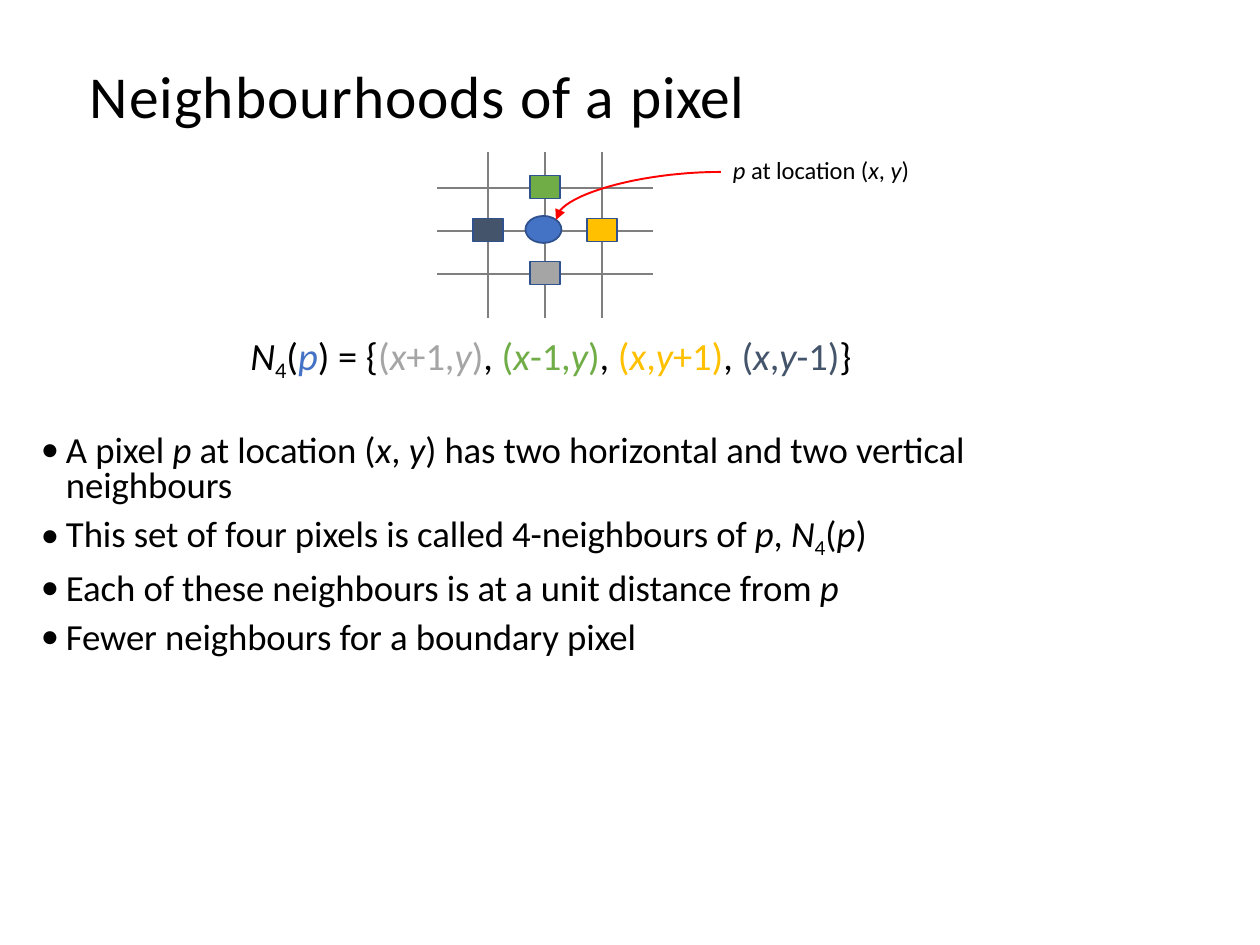
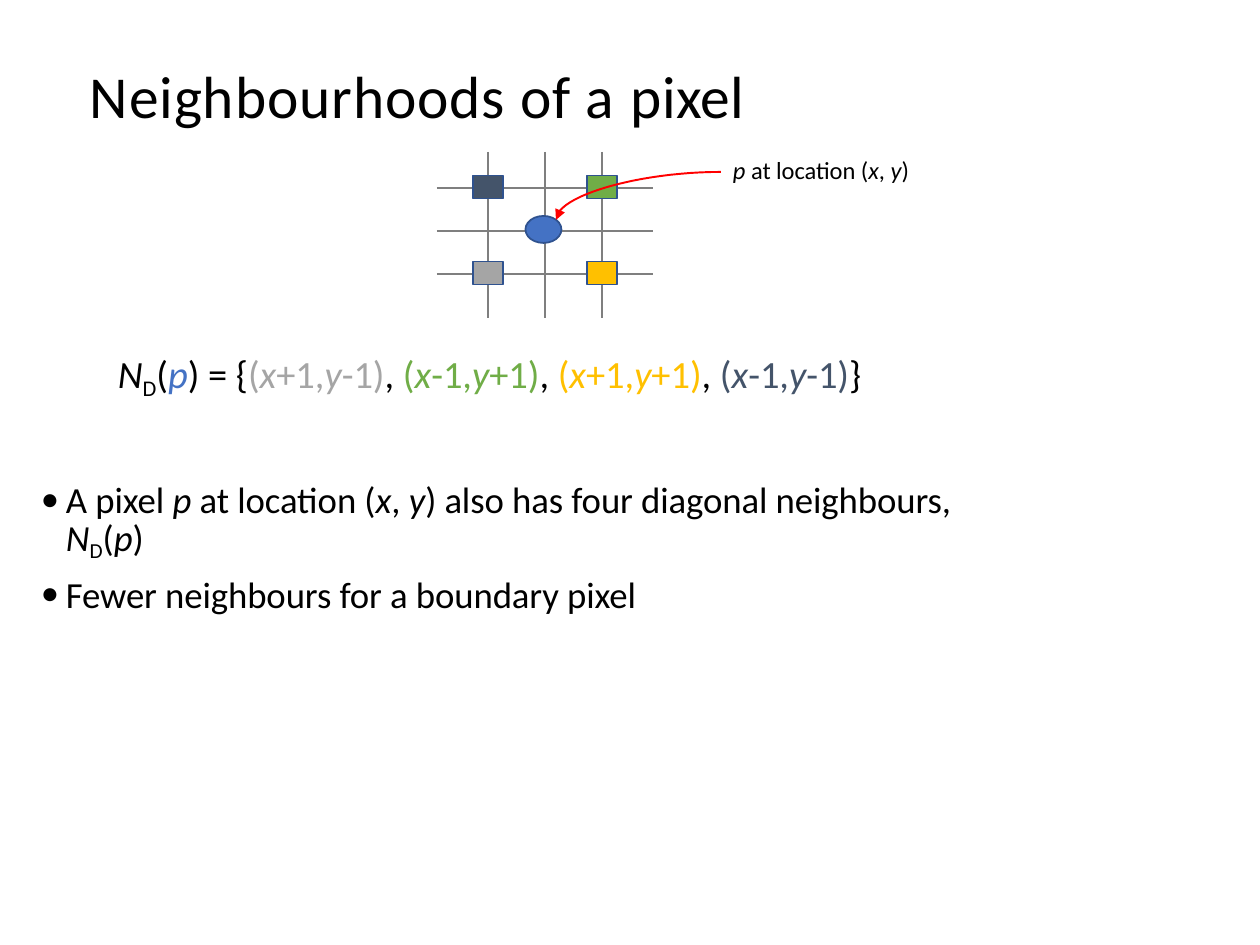
from dataclasses import dataclass

from lxml.etree import SubElement
from pptx import Presentation
from pptx.dml.color import RGBColor
from pptx.enum.shapes import MSO_CONNECTOR as Connector, MSO_SHAPE as Preset
from pptx.enum.text import PP_ALIGN as Align
from pptx.oxml.ns import qn
from pptx.util import Emu, Pt


@dataclass(frozen=True)
class Theme:
    font: str = "Calibri"
    title_size: int = 34
    formula_size: int = 22
    body_size: int = 21
    label_size: int = 14
    ink: str = "000000"
    grid: str = "7F7F7F"
    outline: str = "2F528F"
    blue: str = "4472C4"
    grey: str = "A5A5A5"
    green: str = "70AD47"
    yellow: str = "FFC000"
    slate: str = "44546A"
    red: str = "FF0000"


THEME = Theme()
EMU_PER_PX = 914400 / 126
PAGE_SIZE = (1260, 945)
TITLE_BOX = (90, 58, 739, 74)
GRID_BOX = (437, 152, 216, 166)
LABEL_BOX = (733, 154, 208, 31)
COLUMNS = [51 + 57 * i for i in range(3)]
ROWS = [36 + 43 * i for i in range(3)]
SQUARE = (30, 23)
DISC = (36, 27)


def px(length):
    return Emu(round(length * EMU_PER_PX))


def rgb(colour):
    return RGBColor.from_string(colour)


def add_text_box(page, box):
    frame = page.shapes.add_textbox(*map(px, box)).text_frame
    frame.word_wrap = True
    frame.margin_left = frame.margin_right = frame.margin_bottom = 0
    frame.margin_top = px(1)
    return frame


def add_span(para, text, size, colour=THEME.ink, italic=False, sub=False, spacing=0):
    """Add one run; spacing is in hundredths of a point."""
    span = para.add_run()
    span.text = text
    font = span.font
    font.name, font.size, font.italic = THEME.font, Pt(size), italic
    font.color.rgb = rgb(colour)
    properties = span._r.get_or_add_rPr()
    if spacing:
        properties.set("spc", str(spacing))
    if sub:
        properties.set("baseline", "-20000")


def add_marked_text(para, text, size, colour=THEME.ink, spacing=0):
    """Add text in which *stars* mark italics and _bars_ mark subscripts."""
    for i, part in enumerate(text.split("*")):
        for j, piece in enumerate(part.split("_")):
            if piece:
                add_span(para, piece, size, colour, i % 2 == 1, j % 2 == 1, spacing)


def set_indent(para, left=0, first=0, right=0):
    properties = para._p.get_or_add_pPr()
    for name, length in (("marL", left), ("indent", first), ("marR", right)):
        properties.set(name, str(px(length)))
    return properties


def add_title(page, box):
    para = add_text_box(page, box).paragraphs[0]
    add_span(para, "Neighbourhoods of a ", THEME.title_size, spacing=55)
    add_span(para, "pixel", THEME.title_size, spacing=20)


def add_grid_line(page, x1, y1, x2, y2):
    line = page.shapes.add_connector(Connector.STRAIGHT, *map(px, (x1, y1, x2, y2)))
    line.line.color.rgb = rgb(THEME.grid)
    line.line.width = Pt(1.5)
    SubElement(line._element.spPr, qn("a:effectLst"))


def visible_parts(length, centres, gap):
    """Yield the stretches of a line left free by squares at the given centres."""
    start = 0
    for centre in sorted(centres):
        yield start, centre - gap / 2
        start = centre + gap / 2
    yield start, length


def add_marker(page, preset, centre, size, colour):
    (x, y), (width, height) = centre, size
    marker = page.shapes.add_shape(
        preset, px(x - width / 2), px(y - height / 2), px(width), px(height))
    marker.shadow.inherit = False
    marker.fill.solid()
    marker.fill.fore_color.rgb = rgb(colour)
    marker.line.color.rgb = rgb(THEME.outline)
    marker.line.width = Pt(1)


def add_pixel_grid(page, box, neighbours):
    left, top, width, height = box
    cells = [cell for _, _, cell in neighbours]
    for i, x in enumerate(COLUMNS):
        taken = [ROWS[row] - 1 for column, row in cells if column == i]
        for start, end in visible_parts(height, taken, SQUARE[1]):
            add_grid_line(page, left + x, top + start, left + x, top + end)
    for i, y in enumerate(ROWS):
        taken = [COLUMNS[column] for column, row in cells if row == i]
        for start, end in visible_parts(width, taken, SQUARE[0]):
            add_grid_line(page, left + start, top + y, left + end, top + y)
    for _, colour, (column, row) in neighbours:
        centre = (left + COLUMNS[column], top + ROWS[row] - 1)
        add_marker(page, Preset.RECTANGLE, centre, SQUARE, colour)
    centre = (left + COLUMNS[1] - 1.5, top + ROWS[1] - 1.5)
    add_marker(page, Preset.OVAL, centre, DISC, THEME.blue)


def add_curved_arrow(page, start, end, steps=24):
    """Draw a cubic curve that leaves sideways and arrives downwards."""
    (x1, y1), (x2, y2) = start, end
    points = []
    for step in range(1, steps + 1):
        t = step / steps
        across = 1.5 * t * (1 - t) ** 2 + 3 * t ** 2 * (1 - t) + t ** 3
        down = 1.5 * t ** 2 * (1 - t) + t ** 3
        points.append((px(x1 + (x2 - x1) * across), px(y1 + (y2 - y1) * down)))
    builder = page.shapes.build_freeform(px(x1), px(y1))
    builder.add_line_segments(points, close=False)
    arrow = builder.convert_to_shape()
    arrow.shadow.inherit = False
    arrow.fill.background()
    arrow.line.color.rgb = rgb(THEME.red)
    arrow.line.width = Pt(1.1)
    SubElement(arrow.line._get_or_add_ln(), qn("a:tailEnd"), type="triangle")


def add_label(page, box):
    left, top = box[:2]
    para = add_text_box(page, box).paragraphs[0]
    add_marked_text(para, "*p* at location (*x*, *y*)", THEME.label_size, spacing=-5)
    add_curved_arrow(page, (left - 12, top + 18), (left - 177, top + 66))


def add_formula(para, name, neighbours):
    size = THEME.formula_size
    add_marked_text(para, f"*N*_{name}_(", size)
    add_marked_text(para, "*p*", size, THEME.blue)
    add_marked_text(para, ") = {", size)
    for i, (offset, colour, _) in enumerate(neighbours):
        if i:
            add_marked_text(para, ", ", size)
        add_marked_text(para, offset, size, colour)
    add_marked_text(para, "}", size)


def add_point(frame, text, before, exact=None, bullet=True):
    para = frame.add_paragraph()
    properties = set_indent(para, 30, -25 if bullet else 0)
    para.space_before = Pt(before)
    if exact:
        para.line_spacing = Pt(exact)
    if bullet:
        SubElement(properties, qn("a:buFont"), typeface=THEME.font)
        SubElement(properties, qn("a:buChar"), char="•")
    add_marked_text(para, text, THEME.body_size, spacing=-7)


def add_neighbour_page(deck, neighbours):
    page = deck.slides.add_slide(deck.slide_layouts[6])
    add_title(page, TITLE_BOX)
    add_pixel_grid(page, GRID_BOX, neighbours)
    add_label(page, LABEL_BOX)
    return page


def add_four_neighbours(deck):
    neighbours = [
        ("(*x*+1,*y*)", THEME.grey, (1, 2)),
        ("(*x*-1,*y*)", THEME.green, (1, 0)),
        ("(*x*,*y*+1)", THEME.yellow, (2, 1)),
        ("(*x*,*y*-1)", THEME.slate, (0, 1)),
    ]
    page = add_neighbour_page(deck, neighbours)
    frame = add_text_box(page, (36, 331, 1057, 321))
    para = frame.paragraphs[0]
    para.alignment = Align.CENTER
    set_indent(para, right=27)
    add_formula(para, "4", neighbours)
    add_point(frame, "A pixel *p* at location (*x*, *y*) has two horizontal "
              "and two vertical neighbours", 30.6, 19.9)
    add_point(frame, "This set of four pixels is called 4-neighbours of *p*, *N*_4_(*p*)", 3)
    add_point(frame, "Each of these neighbours is at a unit distance from *p*", 3)
    add_point(frame, "Fewer neighbours for a boundary pixel", 3)


def add_diagonal_neighbours(deck):
    neighbours = [
        ("(*x*+1,*y*-1)", THEME.grey, (0, 2)),
        ("(*x*-1,*y*+1)", THEME.green, (2, 0)),
        ("(*x*+1,*y*+1)", THEME.yellow, (2, 2)),
        ("(*x*-1,*y*-1)", THEME.slate, (0, 0)),
    ]
    page = add_neighbour_page(deck, neighbours)
    frame = add_text_box(page, (36, 349, 1045, 267))
    para = frame.paragraphs[0]
    set_indent(para, 82)
    add_formula(para, "D", neighbours)
    add_point(frame, "A pixel *p* at location (*x*, *y*) also has four diagonal "
              "neighbours,", 45.4, 23.6)
    add_point(frame, "*N*_D_(*p*)", 0, 23.6, bullet=False)
    add_point(frame, "Fewer neighbours for a boundary pixel", 5)


def main():
    deck = Presentation()
    deck.slide_width, deck.slide_height = map(px, PAGE_SIZE)
    add_four_neighbours(deck)
    add_diagonal_neighbours(deck)
    deck.save("out.pptx")


if __name__ == "__main__":
    main()
